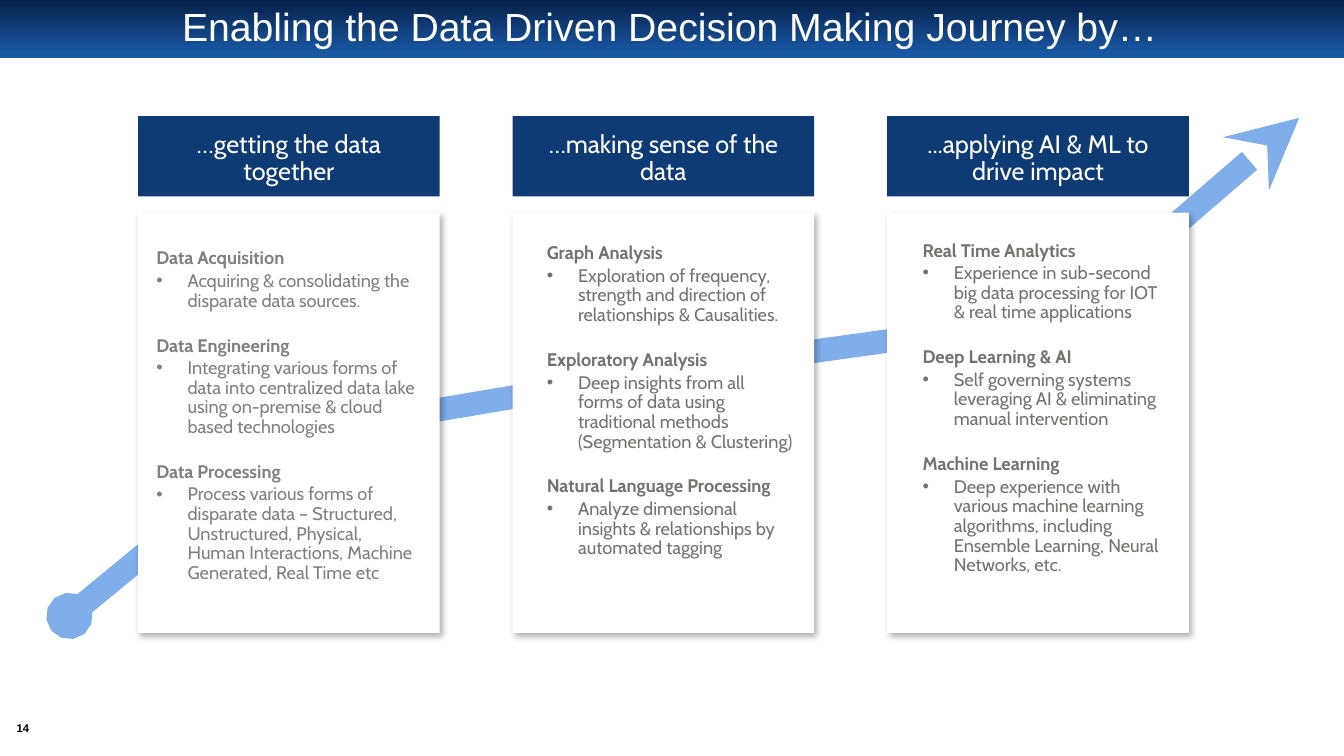
from itertools import pairwise
from lxml.etree import SubElement
from pptx import Presentation
from pptx.dml.color import RGBColor
from pptx.enum.shapes import MSO_CONNECTOR, MSO_SHAPE
from pptx.enum.text import MSO_ANCHOR, PP_ALIGN
from pptx.oxml.ns import qn
from pptx.util import Cm, Pt

COLORS = {
    "white": "FFFFFF", "black": "000000", "navy": "0F3B75", "path": "7FAEEB",
    "band top": "052049", "band bottom": "1957A3",
    "gray": "808080", "warm gray": "767171",
}


def color(name):
    return RGBColor.from_string(COLORS[name])


def write(frame, text, size=13, font="Cabin", tint="white", bold=False,
          align=PP_ALIGN.LEFT, before=0, after=0, bullet=False):
    """Write one paragraph, filling the empty first one before adding more."""
    para = frame.paragraphs[0]
    if para.runs:
        para = frame.add_paragraph()
    para.alignment = align
    para.line_spacing = 0.9
    para.space_before, para.space_after = Pt(before), Pt(after)
    if bullet:
        properties = para._p.get_or_add_pPr()
        properties.set("marL", str(Cm(0.79)))
        properties.set("indent", str(-Cm(0.79)))
        SubElement(properties, qn("a:buFont"), typeface="Arial")
        SubElement(properties, qn("a:buChar"), char="•")
    span = para.add_run()
    span.text = text
    span.font.size, span.font.name, span.font.bold = Pt(size), font, bold
    span.font.color.rgb = color(tint)


deck = Presentation()
deck.slide_width, deck.slide_height = Cm(33.87), Cm(19.05)
page = deck.slides.add_slide(deck.slide_layouts[6])
shapes = page.shapes

# Title band
band = shapes.add_shape(MSO_SHAPE.RECTANGLE, 0, 0, deck.slide_width, Cm(1.47))
band.shadow.inherit = False
band.line.fill.background()
band.fill.gradient()
band.fill.gradient_angle = 270
for stop, name, position in zip(band.fill.gradient_stops,
                                ("band top", "band bottom"), (0, 0.9)):
    stop.color.rgb = color(name)
    stop.position = position

title = shapes.add_textbox(Cm(1.68), Cm(0.15), Cm(30.38), Cm(1.14)).text_frame
title.word_wrap = True
title.vertical_anchor = MSO_ANCHOR.MIDDLE
write(title, "Enabling the Data Driven Decision Making Journey by…",
      size=28, font="Arial", align=PP_ALIGN.CENTER)

# Page number
number = shapes.add_textbox(Cm(0.2), Cm(18.14), Cm(0.76), Cm(0.48)).text_frame
number.margin_left = number.margin_right = 0
number.margin_top = number.margin_bottom = 0
number.word_wrap = False
number.vertical_anchor = MSO_ANCHOR.MIDDLE
write(number, "14", size=8, font="Arial", tint="black", bold=True,
      align=PP_ALIGN.CENTER)

# Journey path behind the cards
waypoints = [(1.75, 15.52), (7.29, 10.96), (16.28, 9.44), (26.06, 8.08)]
oval = {"headEnd": ("oval", "sm")}
arrow = {"headEnd": ("stealth", "med"), "tailEnd": ("arrow", "med")}
segments = [(start, end, oval) for start, end in pairwise(waypoints)]
segments.append(((32.74, 2.97), (25.83, 8.94), arrow))
for start, end, tips in segments:
    segment = shapes.add_connector(MSO_CONNECTOR.STRAIGHT,
                                   *map(Cm, start), *map(Cm, end))
    segment.line.color.rgb = color("path")
    segment.line.width = Pt(16.75)
    outline = segment.line._get_or_add_ln()
    for tag, (kind, scale) in tips.items():
        SubElement(outline, qn(f"a:{tag}"), type=kind, w=scale, len=scale)
    SubElement(segment._element.spPr, qn("a:effectLst"))

# Columns: header, text left, text top, text width, text color, topics
columns = [
    ("…getting the data together", 3.73, 6.07, 7.11, "gray", [
        ("Data Acquisition",
         "Acquiring & consolidating the disparate data sources."),
        ("Data Engineering",
         "Integrating various forms of data into centralized data lake "
         "using on-premise & cloud based technologies"),
        ("Data Processing",
         "Process various forms of disparate data – Structured, "
         "Unstructured, Physical, Human Interactions, Machine Generated, "
         "Real Time etc"),
    ]),
    ("…making sense of the data", 13.57, 5.94, 6.61, "warm gray", [
        ("Graph Analysis",
         "Exploration of frequency, strength and direction of "
         "relationships & Causalities."),
        ("Exploratory Analysis",
         "Deep insights from all forms of data using traditional methods "
         "(Segmentation & Clustering)"),
        ("Natural Language Processing",
         "Analyze dimensional insights & relationships by automated tagging"),
    ]),
    ("...applying AI & ML to drive impact", 23.04, 5.87, 6.48, "warm gray", [
        ("Real Time Analytics",
         "Experience in sub-second big data processing for IOT & real time "
         "applications"),
        ("Deep Learning & AI",
         "Self governing systems leveraging AI & eliminating manual "
         "intervention"),
        ("Machine Learning",
         "Deep experience with various machine learning algorithms, "
         "including Ensemble Learning, Neural Networks, etc."),
    ]),
]
for index, (heading, left, top, width, tint, topics) in enumerate(columns):
    column_left = Cm(3.48 + 9.44 * index)

    # Header and card
    header = shapes.add_shape(MSO_SHAPE.RECTANGLE, column_left, Cm(2.93),
                              Cm(7.6), Cm(2.02))
    card = shapes.add_shape(MSO_SHAPE.RECTANGLE, column_left, Cm(5.36),
                            Cm(7.6), Cm(10.59))
    for box, fill in ((header, "navy"), (card, "white")):
        box.fill.solid()
        box.fill.fore_color.rgb = color(fill)
        box.line.fill.background()
        box.shadow.inherit = False
    shadow = SubElement(card._element.spPr.find(qn("a:effectLst")),
                        qn("a:outerShdw"), blurRad=str(Pt(4.5)),
                        dist=str(Pt(2.6)), dir="3180000", algn="tl",
                        rotWithShape="0")
    shade = SubElement(shadow, qn("a:srgbClr"), val=COLORS["black"])
    SubElement(shade, qn("a:alpha"), val="30000")

    frame = header.text_frame
    frame.word_wrap = True
    frame.vertical_anchor = MSO_ANCHOR.TOP
    frame.margin_left = frame.margin_right = Cm(0.75)
    frame.margin_top = Cm(0.38)
    write(frame, heading, size=18, align=PP_ALIGN.CENTER)

    # Topics
    frame = shapes.add_textbox(Cm(left), Cm(top), Cm(width), Cm(9.5)).text_frame
    frame.word_wrap = True
    frame.margin_left = frame.margin_right = Cm(0.21)
    frame.margin_top = frame.margin_bottom = Cm(0.21)
    for order, (topic, detail) in enumerate(topics):
        write(frame, topic, tint=tint, bold=True, after=2,
              before=16 if order else 0)
        write(frame, detail, tint=tint, after=2, bullet=True)

deck.save("out.pptx")
